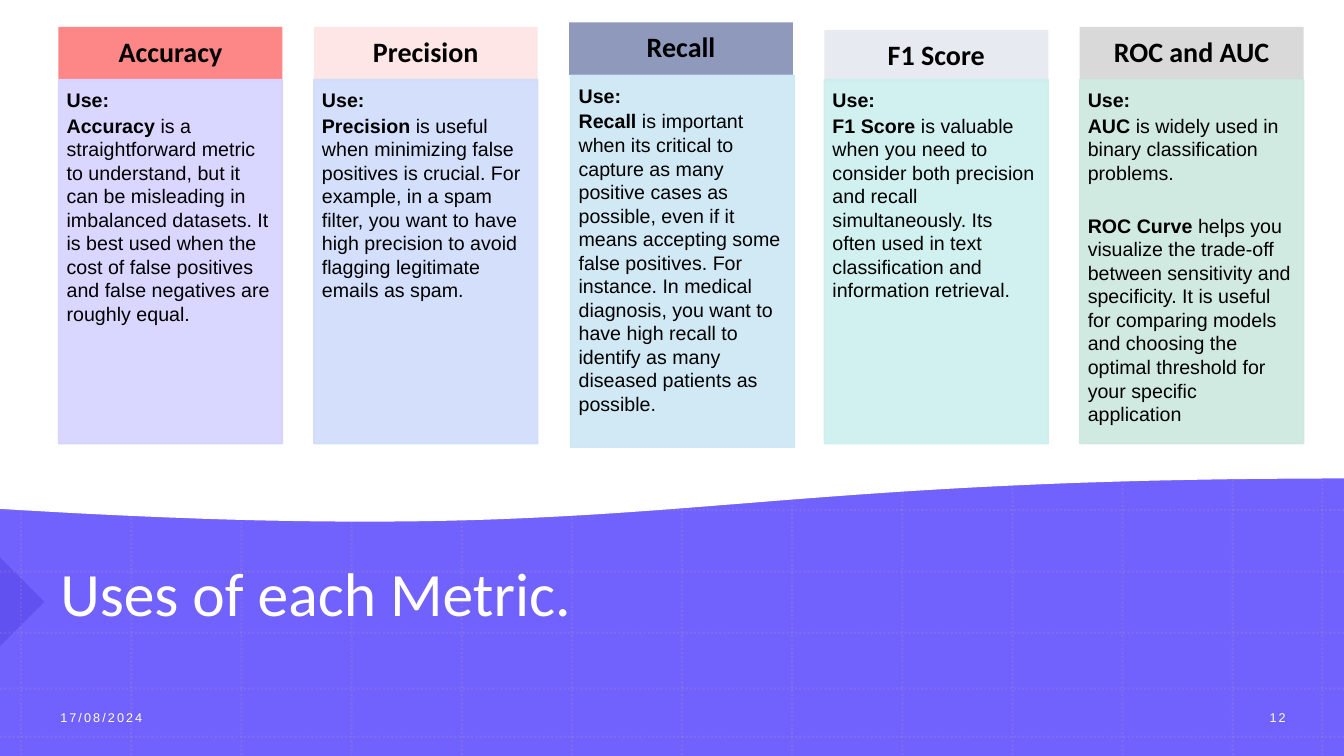
import pptx
import pptx.util
import pptx.dml.color
import pptx.enum.dml
import pptx.enum.shapes
import pptx.enum.text
import pptx.oxml
import pptx.oxml.ns

Pt = pptx.util.Pt
RGBColor = pptx.dml.color.RGBColor
SHAPE = pptx.enum.shapes.MSO_SHAPE
ANCHOR = pptx.enum.text.MSO_ANCHOR
ALIGN = pptx.enum.text.PP_ALIGN

WHITE = RGBColor(0xFF, 0xFF, 0xFF)
BLACK = RGBColor(0x00, 0x00, 0x00)
VIOLET = RGBColor(0x71, 0x62, 0xFE)
INDIGO = RGBColor(0x12, 0x01, 0xAF)
MAUVE = RGBColor(0xB4, 0x95, 0xC2)
CORAL = RGBColor(0xFD, 0x86, 0x86)
SLATE = RGBColor(0x8F, 0x99, 0xBB)
GREY = RGBColor(0xD9, 0xD9, 0xD9)
LAVENDER = RGBColor(0xD5, 0xD3, 0xFF)
PERIWINKLE = RGBColor(0xCF, 0xDC, 0xFB)
SKY = RGBColor(0xCD, 0xE7, 0xF5)
AQUA = RGBColor(0xCC, 0xEF, 0xEF)
MINT = RGBColor(0xCC, 0xE8, 0xDE)

WIDTH, HEIGHT = 960, 540
CARD_WIDTH, HEADER_HEIGHT = 160, 37.5
CARD_LEFT, CARD_STEP = 41.8, 182.35

METRICS = [
    ("Accuracy", CORAL, 100, LAVENDER, 19.2, 56.9, 260, 0, [
        ("Accuracy", " is a straightforward metric to understand, but it can be misleading in "
         "imbalanced datasets. It is best used when the cost of false positives and false "
         "negatives are roughly equal.")]),
    ("Precision", CORAL, 20, PERIWINKLE, 19.2, 56.9, 260, 0, [
        ("Precision", " is useful when minimizing false positives is crucial. For example, in a "
         "spam filter, you want to have high precision to avoid flagging legitimate emails "
         "as spam.")]),
    ("Recall", SLATE, 100, SKY, 16, 53.8, 265.7, 1, [
        ("Recall ", "is important when its critical to capture as many positive cases as "
         "possible, even if it means accepting some false positives. For instance. In medical "
         "diagnosis, you want to have high recall to identify as many diseased patients as "
         "possible.")]),
    ("F1 Score", SLATE, 20, AQUA, 21.4, 56.9, 260, 0, [
        ("F1 Score ", "is valuable when you need to consider both precision and recall "
         "simultaneously. Its often used in text classification and information retrieval.")]),
    ("ROC and AUC", GREY, 100, MINT, 19.2, 56.9, 260, 0, [
        ("AUC", " is widely used in binary classification problems."),
        ("ROC Curve ", "helps you visualize the trade-off between sensitivity and specificity. "
         "It is useful for comparing models and choosing the optimal threshold for your "
         "specific application")]),
]


class MetricSlide:
    """Holds the text styles and the slide, and draws each kind of element."""

    styles = {
        "title": {"name": "Calibri", "size": Pt(44), "bold": False},
        "footer": {"name": "Arial", "size": Pt(9), "bold": False},
        "header": {"name": "Calibri", "size": Pt(20), "bold": True},
        "body": {"name": "Arial", "size": Pt(14), "bold": False},
        "lead": {"name": "Arial", "size": Pt(14), "bold": True},
    }

    def __init__(self, slide):
        self.slide = slide

    def set_alpha(self, color_parent, percent):
        if percent < 100:
            color = color_parent.find(".//" + pptx.oxml.ns.qn("a:srgbClr"))
            color.append(pptx.oxml.parse_xml(
                f'<a:alpha {pptx.oxml.ns.nsdecls("a")} val="{percent * 1000}"/>'))

    def paint(self, shape, color, alpha=100, outlined=False):
        shape.shadow.inherit = False
        shape.fill.solid()
        shape.fill.fore_color.rgb = color
        self.set_alpha(shape._element.spPr.find(pptx.oxml.ns.qn("a:solidFill")), alpha)
        if outlined:
            shape.line.color.rgb = color
            shape.line.width = Pt(1)
            self.set_alpha(shape._element.spPr.find(pptx.oxml.ns.qn("a:ln")), alpha)
        else:
            shape.line.fill.background()

    def block(self, kind, box, color, alpha=100, outlined=False):
        block = self.slide.shapes.add_shape(kind, *map(Pt, box))
        self.paint(block, color, alpha, outlined)
        return block

    def grid_line(self, start, end):
        rule = self.slide.shapes.add_connector(
            pptx.enum.shapes.MSO_CONNECTOR.STRAIGHT, *map(Pt, start + end))
        rule.line.color.rgb = MAUVE
        rule.line.width = Pt(1.5)
        rule.line.dash_style = pptx.enum.dml.MSO_LINE.ROUND_DOT
        properties = rule._element.spPr
        self.set_alpha(properties.find(pptx.oxml.ns.qn("a:ln")), 20)
        properties.append(
            pptx.oxml.parse_xml(f'<a:effectLst {pptx.oxml.ns.nsdecls("a")}/>'))

    def wave(self, *controls, steps=80):
        curve = []
        for step in range(steps + 1):
            t = step / steps
            weights = ((1 - t) ** 3, 3 * t * (1 - t) ** 2, 3 * t * t * (1 - t), t ** 3)
            curve.append(tuple(
                Pt(sum(weight * point[axis] for weight, point in zip(weights, controls)))
                for axis in (0, 1)))
        outline = self.slide.shapes.build_freeform(0, 0)
        outline.add_line_segments([(curve[0][0], 0)] + curve, close=True)
        self.paint(outline.convert_to_shape(), WHITE, outlined=True)

    def frame(self, shape, anchor, margins):
        frame = shape.text_frame
        layout = {"word_wrap": True, "vertical_anchor": anchor}
        sides = ("margin_left", "margin_top", "margin_right", "margin_bottom")
        layout.update(zip(sides, map(Pt, margins)))
        for name, value in layout.items():
            setattr(frame, name, value)
        return frame

    def fill_paragraph(self, paragraph, runs, color, tracking=0, **layout):
        for name, value in layout.items():
            setattr(paragraph, name, value)
        for text, style in runs:
            run = paragraph.add_run()
            run.text = text
            for name, value in self.styles[style].items():
                setattr(run.font, name, value)
            run.font.color.rgb = color
            if tracking:
                run._r.get_or_add_rPr().set("spc", str(tracking))

    def label(self, text, style, box, **layout):
        label = self.slide.shapes.add_textbox(*map(Pt, box))
        frame = self.frame(label, ANCHOR.MIDDLE, (7.2, 3.6, 7.2, 3.6))
        self.fill_paragraph(frame.paragraphs[0], [(text, style)], WHITE, **layout)

    def card(self, left, metric):
        title, tint, tint_alpha, shade, header_top, top, height, shift, uses = metric
        header = self.block(SHAPE.RECTANGLE, (left, header_top, CARD_WIDTH, HEADER_HEIGHT),
                            tint, tint_alpha)
        heading = self.frame(header, ANCHOR.MIDDLE, (11.5, 6.5, 11.5, 6.5))
        self.fill_paragraph(heading.paragraphs[0], [(title, "header")], BLACK,
                            alignment=ALIGN.CENTER, line_spacing=0.9)
        panel = self.block(SHAPE.RECTANGLE, (left + shift, top, CARD_WIDTH, height),
                           shade, 90, outlined=True)
        body = self.frame(panel, ANCHOR.TOP, (5.8, 5.8, 7.9, 8.6))
        self.fill_paragraph(body.paragraphs[0], [("Use:", "lead")], BLACK,
                            alignment=ALIGN.LEFT, space_after=Pt(1.7))
        for index, (lead, detail) in enumerate(uses):
            last = index == len(uses) - 1
            self.fill_paragraph(body.add_paragraph(), [(lead, "lead"), (detail, "body")], BLACK,
                                alignment=ALIGN.LEFT, space_after=Pt(1.7 if last else 21))


def main():
    deck = pptx.Presentation()
    deck.slide_width, deck.slide_height = Pt(WIDTH), Pt(HEIGHT)
    page = MetricSlide(deck.slides.add_slide(deck.slide_layouts[6]))

    page.block(SHAPE.RECTANGLE, (0, 0, WIDTH, HEIGHT), VIOLET)
    marker = page.block(SHAPE.RIGHT_TRIANGLE, (-22.4, 407.4, 44.8, 44.8), INDIGO, 17)
    marker.rotation = 225
    for x in [15.1 + 78.68 * column for column in range(12)] + [944.6]:
        page.grid_line((x, 0), (x, HEIGHT))
    for y in (364.3, 408.2, 452, 491.8, 526.3):
        page.grid_line((0, y), (WIDTH, y))
    page.wave((961, 341.3), (479, 341.3), (479, 392.4), (0, 363))

    page.label("Uses of each Metric.", "title", (36, 359.3, 846, 133.2), line_spacing=0.9)
    page.label("17/08/2024", "footer", (36, 498.2, 201.6, 28.8), tracking=150)
    page.label("12", "footer", (881.3, 498.2, 62.6, 28.8), tracking=150, alignment=ALIGN.CENTER)
    for index, metric in enumerate(METRICS):
        page.card(CARD_LEFT + CARD_STEP * index, metric)

    deck.save("out.pptx")


if __name__ == "__main__":
    main()
